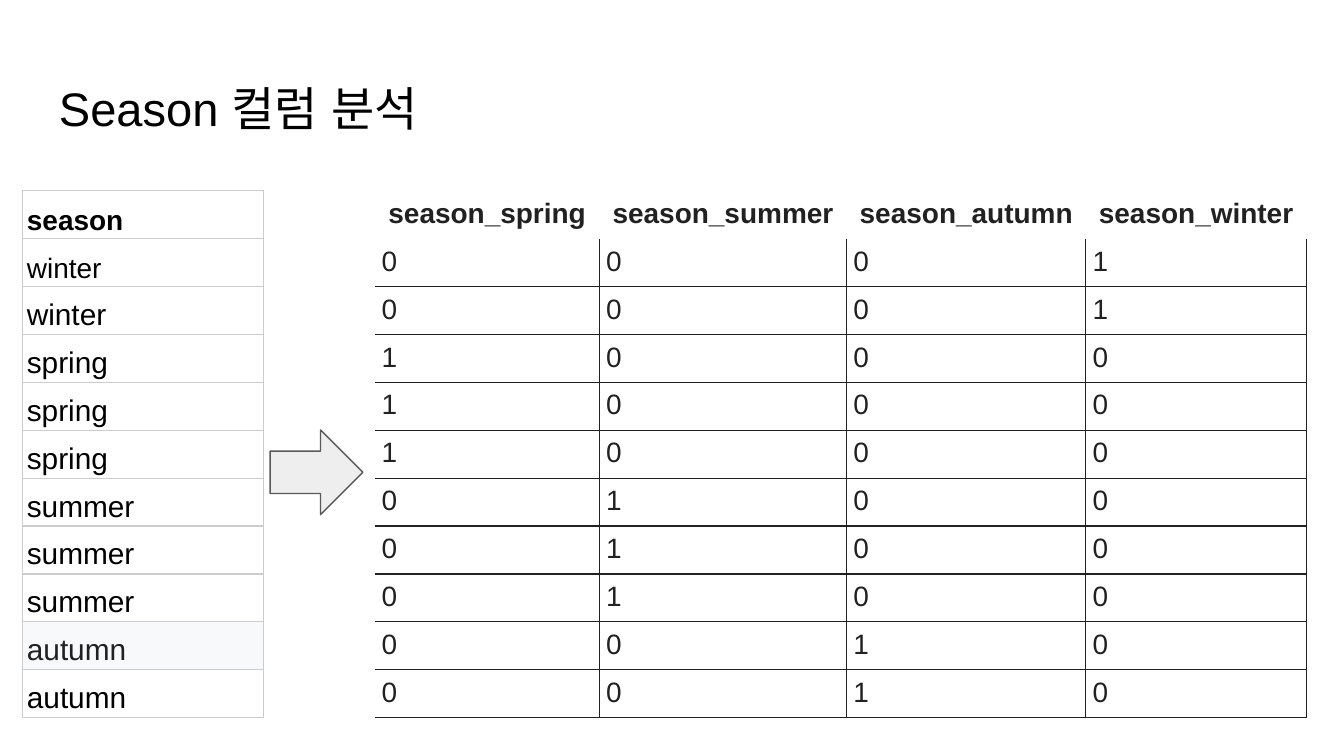
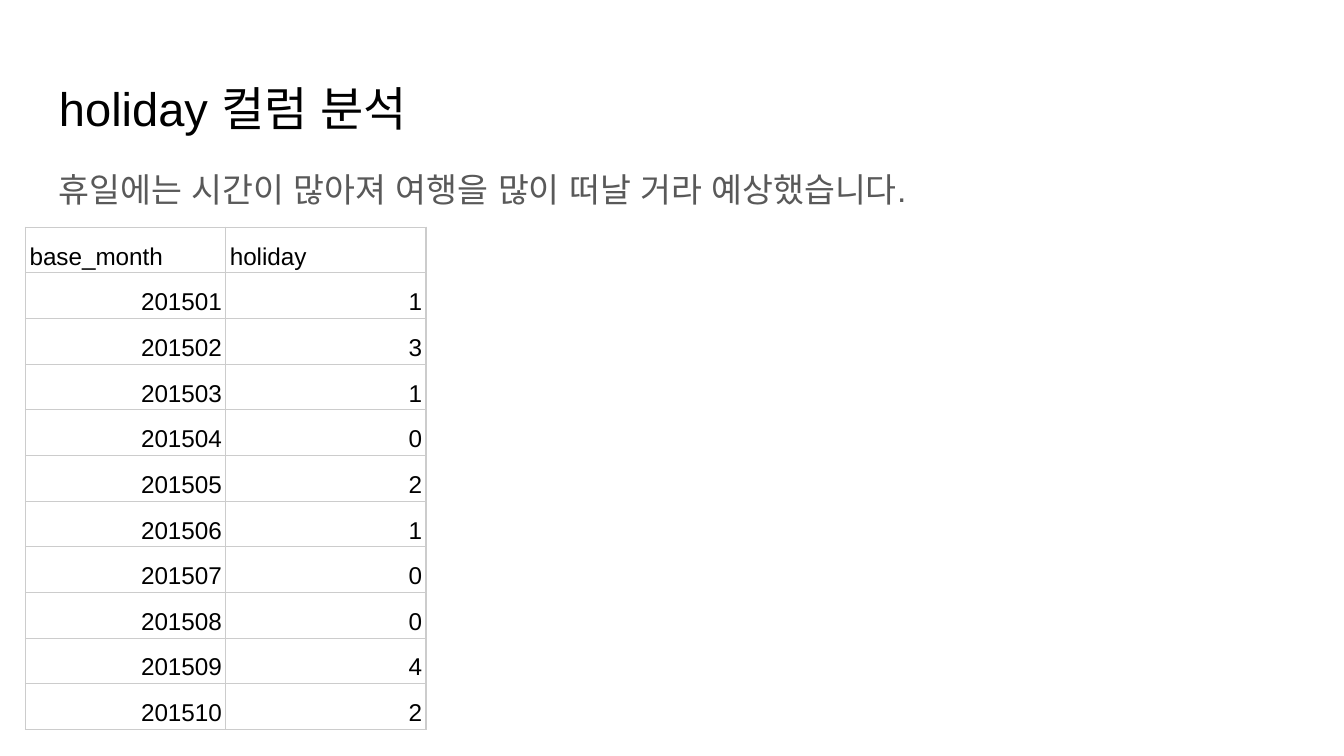
import pptx
import pptx.dml.color
import pptx.enum.shapes
import pptx.enum.text
import pptx.oxml.ns
import pptx.util
from lxml import etree

Inches = pptx.util.Inches
Pt = pptx.util.Pt
qn = pptx.oxml.ns.qn
rgb = pptx.dml.color.RGBColor.from_string
ALIGN = pptx.enum.text.PP_ALIGN
ANCHOR = pptx.enum.text.MSO_ANCHOR

FONT = "Arial"
BLACK = "000000"
WHITE = "FFFFFF"
GREY = "595959"
INK = "212121"
PALE = "EEEEEE"
RULE = "CCCCCC"


def write(paragraph, text, size, color):
    run = paragraph.add_run()
    run.text = text
    run.font.name = FONT
    run.font.size = Pt(size)
    run.font.color.rgb = rgb(color)
    etree.SubElement(run.font._element, qn("a:ea"), typeface=FONT)


def add_grid(slide, left, top, widths, height, rows, size, color, rule, side, anchor):
    """Add a table with thin ruled cells, all rows equally high."""
    frame = slide.shapes.add_table(
        len(rows), len(widths), Inches(left), Inches(top),
        Inches(sum(widths)), Inches(height))
    table = frame.table
    table.first_row = False
    table.horz_banding = False
    for column, width in zip(table.columns, widths):
        column.width = Inches(width)
    for row, values in zip(table.rows, rows):
        row.height = int(Inches(height) / len(rows))
        for cell, value in zip(row.cells, values):
            cell.margin_left = cell.margin_right = Inches(side)
            cell.margin_top = cell.margin_bottom = Inches(0.02)
            cell.vertical_anchor = anchor
            for edge in "LRTB":
                line = etree.SubElement(cell._tc.get_or_add_tcPr(), qn("a:ln" + edge), w=str(Pt(0.75)))
                fill = etree.SubElement(line, qn("a:solidFill"))
                etree.SubElement(fill, qn("a:srgbClr"), val=rule)
            cell.fill.background()
            paragraph = cell.text_frame.paragraphs[0]
            paragraph.line_spacing = 1.15
            write(paragraph, value, size, color)
    return table


presentation = pptx.Presentation()
presentation.slide_width = Inches(10)
presentation.slide_height = Inches(10) * 9 // 16

slides = []
for title in ("Season 컬럼 분석", "holiday 컬럼 분석"):
    slide = presentation.slides.add_slide(presentation.slide_layouts[6])
    slide.background.fill.solid()
    slide.background.fill.fore_color.rgb = rgb(WHITE)
    box = slide.shapes.add_textbox(Inches(0.34), Inches(0.49), Inches(9.32), Inches(0.63))
    frame = box.text_frame
    frame.word_wrap = True
    frame.margin_left = frame.margin_right = Inches(0.1)
    frame.margin_top = frame.margin_bottom = Inches(0.1)
    write(frame.paragraphs[0], title, 25.2, BLACK)
    slides.append(slide)
season_slide, holiday_slide = slides

# Season: the source column
seasons = ["winter"] * 2 + ["spring"] * 3 + ["summer"] * 3 + ["autumn"] * 2
season_table = add_grid(
    season_slide, 0.17, 1.42, [1.79], 3.92, [["season"]] + [[season] for season in seasons],
    16, BLACK, RULE, 0.03, ANCHOR.BOTTOM)
for row in (0, 1):
    run = season_table.cell(row, 0).text_frame.paragraphs[0].runs[0]
    run.font.size = Pt(15)
    run.font.bold = row == 0
first_autumn = season_table.cell(seasons.index("autumn") + 1, 0)
first_autumn.fill.solid()
first_autumn.fill.fore_color.rgb = rgb("F8F9FA")
first_autumn.text_frame.paragraphs[0].runs[0].font.color.rgb = rgb("202124")

# Season: one-hot columns
categories = ["spring", "summer", "autumn", "winter"]
one_hot_rows = [["season_" + category for category in categories]]
for season in seasons:
    one_hot_rows.append(["1" if season == category else "0" for category in categories])
one_hot_table = add_grid(
    season_slide, 2.79, 1.42, [1.67, 1.84, 1.78, 1.64], 3.92, one_hot_rows,
    15, INK, INK, 0.05, ANCHOR.TOP)
for row in range(len(one_hot_rows)):
    for column in range(len(categories)):
        cell = one_hot_table.cell(row, column)
        cell.fill.solid()
        cell.fill.fore_color.rgb = rgb(WHITE)
        hidden_edges = "L" if column == 0 else ""
        if row == 0:
            hidden_edges = "LRTB"
            paragraph = cell.text_frame.paragraphs[0]
            paragraph.alignment = ALIGN.CENTER
            paragraph.runs[0].font.bold = True
        elif row == 1:
            hidden_edges += "T"
        for edge in hidden_edges:
            line_color = cell._tc.tcPr.find(qn("a:ln" + edge)).find(".//" + qn("a:srgbClr"))
            if row == 0 and edge != "B":
                line_color.set("val", PALE)
            etree.SubElement(line_color, qn("a:alpha"), val="0")

arrow = season_slide.shapes.add_shape(
    pptx.enum.shapes.MSO_SHAPE.RIGHT_ARROW, Inches(2.01), Inches(3.2), Inches(0.69), Inches(0.63))
arrow.shadow.inherit = False
arrow.fill.solid()
arrow.fill.fore_color.rgb = rgb(PALE)
arrow.line.color.rgb = rgb(GREY)
arrow.line.width = Pt(0.75)

# Holiday: expectation and monthly counts
body = holiday_slide.shapes.add_textbox(Inches(0.34), Inches(1.11), Inches(9.32), Inches(3.74))
frame = body.text_frame
frame.word_wrap = True
frame.margin_left = frame.margin_right = Inches(0.1)
frame.margin_top = frame.margin_bottom = Inches(0.1)
paragraph = frame.paragraphs[0]
paragraph.line_spacing = 1.15
paragraph.space_after = Pt(12)
write(paragraph, "휴일에는 시간이 많아져 여행을 많이 떠날 거라 예상했습니다.", 18, GREY)

holiday_counts = [1, 3, 1, 0, 2, 1, 0, 0, 4, 2]
holiday_rows = [["base_month", "holiday"]]
for month, count in enumerate(holiday_counts, start=201501):
    holiday_rows.append([str(month), str(count)])
holiday_table = add_grid(
    holiday_slide, 0.19, 1.69, [1.49, 1.49], 3.74, holiday_rows,
    13, BLACK, RULE, 0.03, ANCHOR.BOTTOM)
for row in range(1, len(holiday_rows)):
    for column in range(2):
        holiday_table.cell(row, column).text_frame.paragraphs[0].alignment = ALIGN.RIGHT

presentation.save("out.pptx")
